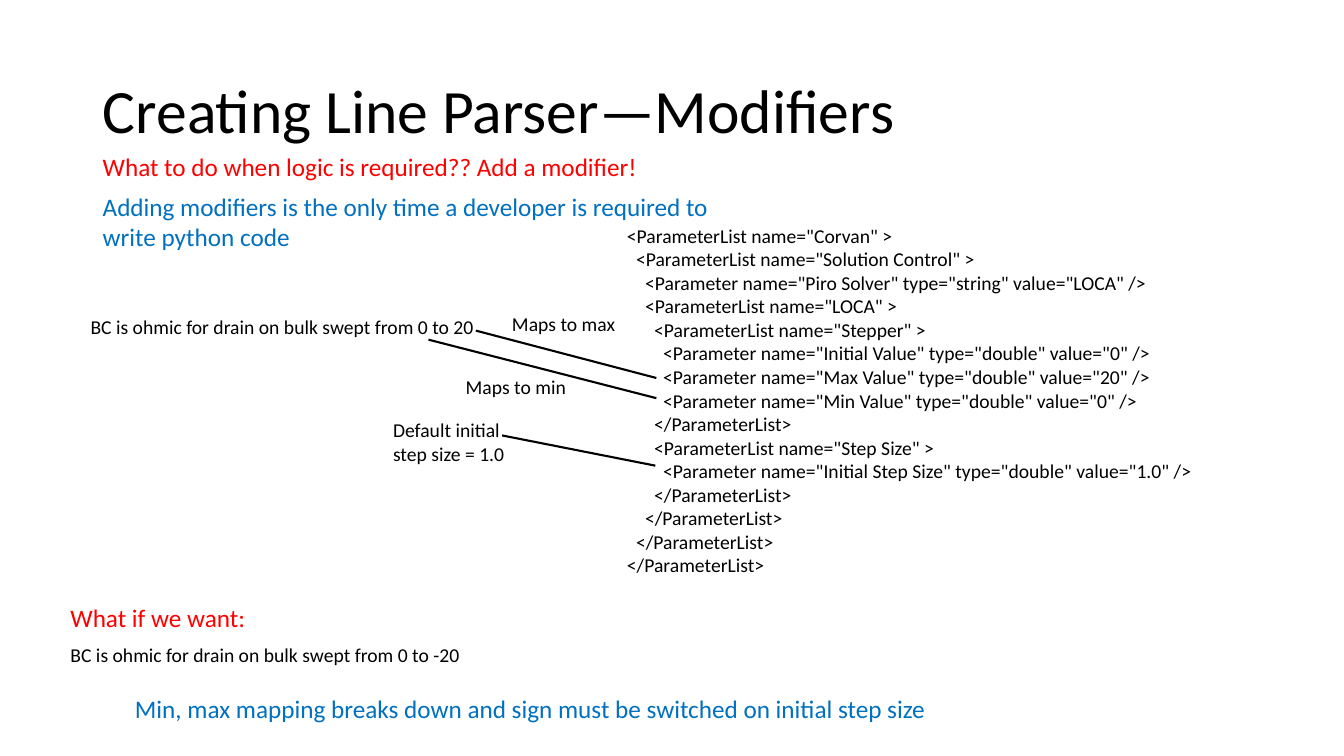
import pptx
import pptx.dml.color
import pptx.enum.shapes
import pptx.enum.text
import pptx.oxml.ns
import pptx.util
from lxml import etree
from pptx.util import Inches

COLORS = {"black": "000000", "red": "FF0000", "blue": "0070C0"}
FONT = "Calibri"
INDENT = 0.09  # inches per nesting level of the XML listing

TITLE = "Creating Line Parser—Modifiers"

# text, (left, top, width, height), size, color, wraps
NOTES = [
    ("What to do when logic is required?? Add a modifier!",
     (0.92, 1.45, 5.57, 0.4), 18, "red", False),
    ("Adding modifiers is the only time a developer is required to write python code",
     (0.92, 1.85, 6.62, 0.71), 18, "blue", True),
    ("BC is ohmic for drain on bulk swept from 0 to 20",
     (0.8, 3.08, 4.03, 0.34), 14, "black", False),
    ("Maps to max", (4.98, 3.05, 1.24, 0.34), 14, "black", False),
    ("Maps to min", (4.52, 3.67, 1.21, 0.34), 14, "black", False),
    ("Default initial step size = 1.0", (3.8, 4.1, 1.33, 0.57), 14, "black", True),
    ("What if we want:", (0.6, 5.93, 1.96, 0.4), 18, "red", False),
    ("BC is ohmic for drain on bulk swept from 0 to -20",
     (0.6, 6.33, 4.09, 0.34), 14, "black", False),
    ("Min, max mapping breaks down and sign must be switched on initial step size",
     (1.24, 6.83, 8.14, 0.4), 18, "blue", False),
]

# nesting level, line of XML
LISTING = [
    (0, '<ParameterList name="Corvan" >'),
    (1, '<ParameterList name="Solution Control" >'),
    (2, '<Parameter name="Piro Solver" type="string" value="LOCA" />'),
    (2, '<ParameterList name="LOCA" >'),
    (3, '<ParameterList name="Stepper" >'),
    (4, '<Parameter name="Initial Value" type="double" value="0" />'),
    (4, '<Parameter name="Max Value" type="double" value="20" />'),
    (4, '<Parameter name="Min Value" type="double" value="0" />'),
    (3, '</ParameterList>'),
    (3, '<ParameterList name="Step Size" >'),
    (4, '<Parameter name="Initial Step Size" type="double" value="1.0" />'),
    (3, '</ParameterList>'),
    (2, '</ParameterList>'),
    (1, '</ParameterList>'),
    (0, '</ParameterList>'),
]
LISTING_AREA = (6.12, 2.17, 6.6, 3.64)

# start and end of each mapping line
MAPPINGS = [
    ((4.72, 3.28), (6.51, 3.75)),
    ((4.25, 3.37), (6.51, 3.95)),
    ((4.98, 4.32), (6.5, 4.62)),
]


def rgb(name):
    """Return the named color."""
    return pptx.dml.color.RGBColor.from_string(COLORS[name])


def add_span(para, text, size, color):
    """Add one formatted run to a paragraph."""
    span = para.add_run()
    span.text = text
    span.font.name = FONT
    span.font.size = pptx.util.Pt(size)
    span.font.color.rgb = rgb(color)


def add_box(page, area, wraps):
    """Add an empty text box and return its text frame."""
    frame = page.shapes.add_textbox(*map(Inches, area)).text_frame
    frame.word_wrap = wraps
    return frame


def set_title(page):
    """Place and fill the title placeholder."""
    title = page.shapes.title
    title.left, title.top, title.width, title.height = map(Inches, (0.92, 0.4, 11.5, 1.45))
    title.text_frame.vertical_anchor = pptx.enum.text.MSO_ANCHOR.MIDDLE
    para = title.text_frame.paragraphs[0]
    para.alignment = pptx.enum.text.PP_ALIGN.LEFT
    para.line_spacing = 0.9
    add_span(para, TITLE, 44, "black")


def add_listing(page):
    """Add the XML listing, indented by nesting level."""
    frame = add_box(page, LISTING_AREA, True)
    for index, (level, text) in enumerate(LISTING):
        para = frame.add_paragraph() if index else frame.paragraphs[0]
        para._p.get_or_add_pPr().set("marL", str(Inches(INDENT * level)))
        add_span(para, text, 14, "black")


def add_mapping(page, start, end):
    """Draw a plain line from a note to its parameter."""
    line = page.shapes.add_connector(
        pptx.enum.shapes.MSO_CONNECTOR.STRAIGHT, *map(Inches, start + end))
    line.line.color.rgb = rgb("black")
    line.line.width = pptx.util.Pt(1.5)
    etree.SubElement(line._element.spPr, pptx.oxml.ns.qn("a:effectLst"))


deck = pptx.Presentation()
deck.slide_width, deck.slide_height = Inches(13.33), Inches(7.5)
page = deck.slides.add_slide(deck.slide_layouts.get_by_name("Title Only"))
set_title(page)
add_listing(page)
for text, area, size, color, wraps in NOTES:
    add_span(add_box(page, area, wraps).paragraphs[0], text, size, color)
for start, end in MAPPINGS:
    add_mapping(page, start, end)
deck.save("out.pptx")
